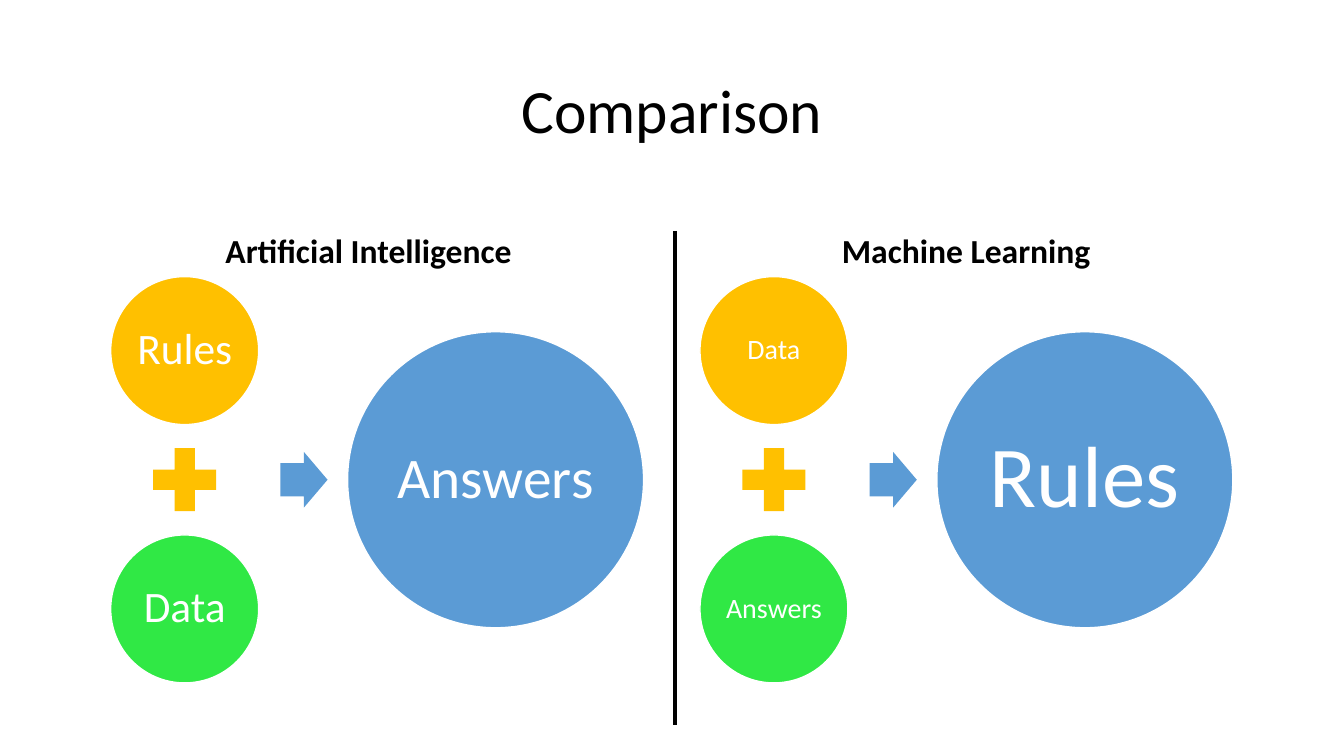
from pptx import Presentation
from pptx.dml.color import RGBColor
from pptx.enum.shapes import MSO_CONNECTOR, MSO_SHAPE
from pptx.enum.text import MSO_ANCHOR, PP_ALIGN
from pptx.oxml.ns import qn
from pptx.util import Cm, Pt

OVAL, PLUS, ARROW = MSO_SHAPE.OVAL, MSO_SHAPE.MATH_PLUS, MSO_SHAPE.RIGHT_ARROW
LINE = MSO_CONNECTOR.STRAIGHT
MIDDLE, BOTTOM = MSO_ANCHOR.MIDDLE, MSO_ANCHOR.BOTTOM
CENTER = PP_ALIGN.CENTER
GOLD, GREEN, BLUE = "FFC000", "30E845", "5B9BD5"
WHITE, BLACK = "FFFFFF", "000000"


def color(code):
    return RGBColor.from_string(code)


def write(shape, text, size, ink=BLACK, bold=False, anchor=MIDDLE, wrap=True):
    frame = shape.text_frame
    frame.word_wrap = wrap
    frame.vertical_anchor = anchor
    para = frame.paragraphs[0]
    para.text = text
    para.alignment = CENTER
    para.line_spacing = 0.9
    para.font.name = "Calibri"
    para.font.size = Pt(size)
    para.font.bold = bold
    para.font.color.rgb = color(ink)


def label(slide, box, text, size, **style):
    write(slide.shapes.add_textbox(*map(Cm, box)), text, size, **style)


def solid(slide, kind, mid, size, fill):
    """Draw a filled shape centred on a point."""
    (x, y), (wide, high) = mid, size
    shape = slide.shapes.add_shape(
        kind, Cm(x - wide / 2), Cm(y - high / 2), Cm(wide), Cm(high))
    shape.shadow.inherit = False
    shape.fill.solid()
    shape.fill.fore_color.rgb = color(fill)
    shape.line.fill.background()
    return shape


def circle(slide, mid, size, fill, text, points):
    shape = solid(slide, OVAL, mid, (size, size), fill)
    shape.line.color.rgb = color(WHITE)
    shape.line.width = Pt(1)
    frame = shape.text_frame
    frame.margin_left = frame.margin_right = 0
    frame.margin_top = frame.margin_bottom = 0
    write(shape, text, points, ink=WHITE, wrap=False)


def sum_flow(slide, box, inputs, small, result, large):
    """Two inputs added in a column, then an arrow to the result."""
    left, top, wide, high = box
    dot = 3.73
    disc = 2 * dot
    x, y = left + dot / 2, top + high / 2

    # Inputs and plus sign
    ends = (top + dot / 2, top + high - dot / 2)
    for text, mid, fill in zip(inputs, ends, (GOLD, GREEN)):
        circle(slide, (x, mid), dot, fill, text, small)
    solid(slide, PLUS, (x, y), (2.16, 2.16), GOLD)

    # Arrow and result
    arrow = solid(slide, ARROW, (left + 4.87, y), (1.19, 1.4), BLUE)
    arrow.adjustments[0] = 0.6
    arrow.adjustments[1] = 0.5
    circle(slide, (left + wide - disc / 2, y), disc, BLUE, result, large)


def divider(slide, x, top, bottom):
    line = slide.shapes.add_connector(LINE, Cm(x), Cm(top), Cm(x), Cm(bottom))
    line.line.color.rgb = color(BLACK)
    line.line.width = Pt(3)
    props = line._element.spPr
    props.append(props.makeelement(qn("a:effectLst"), {}))


def main():
    deck = Presentation()
    deck.slide_width, deck.slide_height = Cm(33.87), Cm(19.05)
    slide = deck.slides.add_slide(deck.slide_layouts[6])

    # Title
    label(slide, (2.33, 1.01, 29.21, 3.68), "Comparison", 44)

    # Headings
    for left, wide, text in ((2.34, 13.9, "Artificial Intelligence"),
                             (17.15, 14.4, "Machine Learning")):
        label(slide, (left, 4.67, wide, 2.29), text, 24,
              bold=True, anchor=BOTTOM)

    # Flows
    top, wide, high = 6.97, 13.43, 10.24
    sum_flow(slide, (2.79, top, wide, high),
             ("Rules", "Data"), 31, "Answers", 41)
    sum_flow(slide, (17.64, top, wide, high),
             ("Data", "Answers"), 20, "Rules", 62)
    divider(slide, 17.02, 5.82, 18.26)

    deck.save("out.pptx")


if __name__ == "__main__":
    main()
